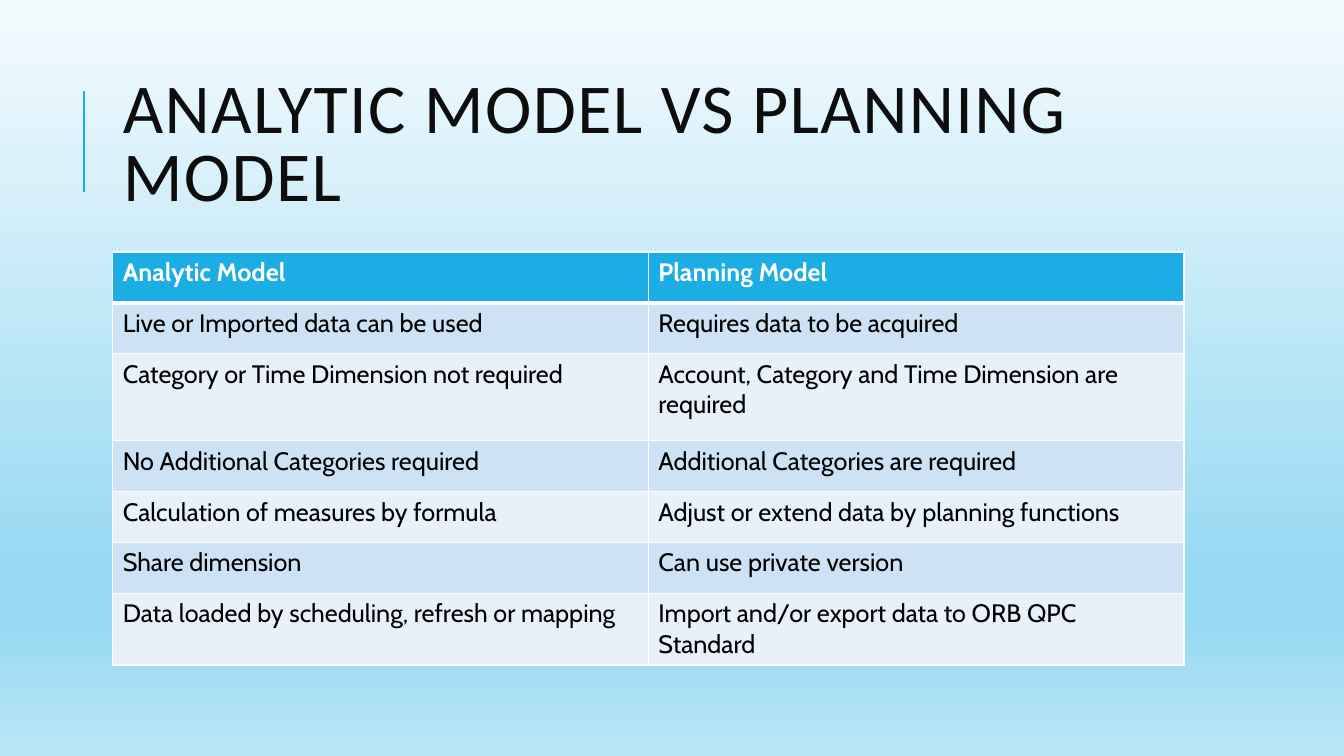
"""Build a slide that compares the analytic model with the planning model."""
import copy
from dataclasses import dataclass

import pptx
import pptx.dml.color
import pptx.enum.shapes
import pptx.enum.text
import pptx.oxml
import pptx.oxml.ns
import pptx.slide
import pptx.table
import pptx.text.text
import pptx.util

Cm = pptx.util.Cm
Pt = pptx.util.Pt
RGBColor = pptx.dml.color.RGBColor
qn = pptx.oxml.ns.qn

WHITE = RGBColor(0xFF, 0xFF, 0xFF)
BLACK = RGBColor(0x00, 0x00, 0x00)
INK = RGBColor(0x0D, 0x0D, 0x0D)
ACCENT = RGBColor(0x1C, 0xAD, 0xE4)
BAND_DARK = RGBColor(0xCD, 0xE3, 0xF5)
BAND_LIGHT = RGBColor(0xE8, 0xF1, 0xFA)
SKY_TOP = RGBColor(0xF4, 0xFB, 0xFE)
SKY_MID = RGBColor(0x99, 0xDA, 0xF3)
SKY_END = RGBColor(0xBB, 0xE6, 0xF7)
SKY_STOPS = [(0, SKY_TOP), (0.74, SKY_MID), (0.83, SKY_MID), (1, SKY_END)]

LEFT, WIDTH = Cm(2.84), Cm(27)
ROW_HEIGHT, TALL_ROW_HEIGHT = Cm(1.28), Cm(2.2)


@dataclass
class Comparison:
    analytic: str
    planning: str
    height: int = ROW_HEIGHT


ROWS = [
    Comparison("Analytic Model", "Planning Model"),
    Comparison("Live or Imported data can be used", "Requires data to be acquired"),
    Comparison("Category or Time Dimension not required",
               "Account, Category and Time Dimension are required", TALL_ROW_HEIGHT),
    Comparison("No Additional Categories required", "Additional Categories are required"),
    Comparison("Calculation of measures by formula",
               "Adjust or extend data by planning functions"),
    Comparison("Share dimension", "Can use private version"),
    Comparison("Data loaded by scheduling, refresh or mapping",
               "Import and/or export data to ORB QPC Standard"),
]


def paint_background(s: pptx.slide.Slide) -> None:
    fill = s.background.fill
    fill.gradient()
    fill.gradient_angle = 270
    stops = s.background._cSld.find(".//" + qn("a:gsLst"))
    for _ in range(len(SKY_STOPS) - len(stops)):
        stops.append(copy.deepcopy(stops[0]))
    for stop, (position, color) in zip(fill.gradient_stops, SKY_STOPS):
        stop.position = position
        stop.color.rgb = color


def add_run(p: pptx.text.text._Paragraph, text: str, font: str, size: float,
            color: RGBColor, bold: bool = False) -> pptx.text.text._Run:
    r = p.add_run()
    r.text = text
    r.font.name = font
    r.font.size = Pt(size)
    r.font.color.rgb = color
    r.font.bold = bold
    return r


def add_accent_line(s: pptx.slide.Slide) -> None:
    line = s.shapes.add_connector(pptx.enum.shapes.MSO_CONNECTOR.STRAIGHT,
                                  Cm(2.11), Cm(4.83), Cm(2.11), Cm(2.29))
    line.line.color.rgb = ACCENT
    line.line.width = Pt(1.5)
    line._element.spPr.append(pptx.oxml.parse_xml(
        f'<a:effectLst {pptx.oxml.ns.nsdecls("a")}/>'))


def write_title(s: pptx.slide.Slide) -> None:
    sp = s.shapes.title
    sp.left, sp.top, sp.width, sp.height = LEFT, Cm(1.63), WIDTH, Cm(4.17)
    tf = sp.text_frame
    tf.word_wrap = True
    tf.auto_size = pptx.enum.text.MSO_AUTO_SIZE.NONE
    tf.vertical_anchor = pptx.enum.text.MSO_ANCHOR.MIDDLE
    p = tf.paragraphs[0]
    p.alignment = pptx.enum.text.PP_ALIGN.LEFT
    p.line_spacing = 0.8
    r = add_run(p, "ANALYTIC MODEL VS PLANNING MODEL", "Calibri", 50, INK)
    r.font._element.set("spc", "100")


def set_borders(cell: pptx.table._Cell, top: float, bottom: float) -> None:
    properties = cell._tc.get_or_add_tcPr()
    for side, width in (("L", 1), ("R", 1), ("T", top), ("B", bottom)):
        properties.append(pptx.oxml.parse_xml(
            f'<a:ln{side} {pptx.oxml.ns.nsdecls("a")} w="{Pt(width)}">'
            f'<a:solidFill><a:srgbClr val="{WHITE}"/></a:solidFill></a:ln{side}>'))


def add_comparison_table(s: pptx.slide.Slide) -> None:
    height = sum(row.height for row in ROWS)
    table = s.shapes.add_table(len(ROWS), 2, LEFT, Cm(6.35), WIDTH, height).table
    table.horz_banding = False
    for i, row in enumerate(ROWS):
        table.rows[i].height = row.height
        header = i == 0
        fill = ACCENT if header else BAND_DARK if i % 2 else BAND_LIGHT
        for j, text in enumerate((row.analytic, row.planning)):
            cell = table.cell(i, j)
            set_borders(cell, top=3 if i == 1 else 1, bottom=3 if header else 1)
            cell.fill.solid()
            cell.fill.fore_color.rgb = fill
            add_run(cell.text_frame.paragraphs[0], text, "Cabin", 18,
                    WHITE if header else BLACK, header)


def main() -> None:
    prs = pptx.Presentation()
    prs.slide_width, prs.slide_height = Cm(33.87), Cm(19.05)
    s = prs.slides.add_slide(prs.slide_layouts.get_by_name("Title Only"))
    paint_background(s)
    add_accent_line(s)
    write_title(s)
    add_comparison_table(s)
    prs.save("out.pptx")


if __name__ == "__main__":
    main()
